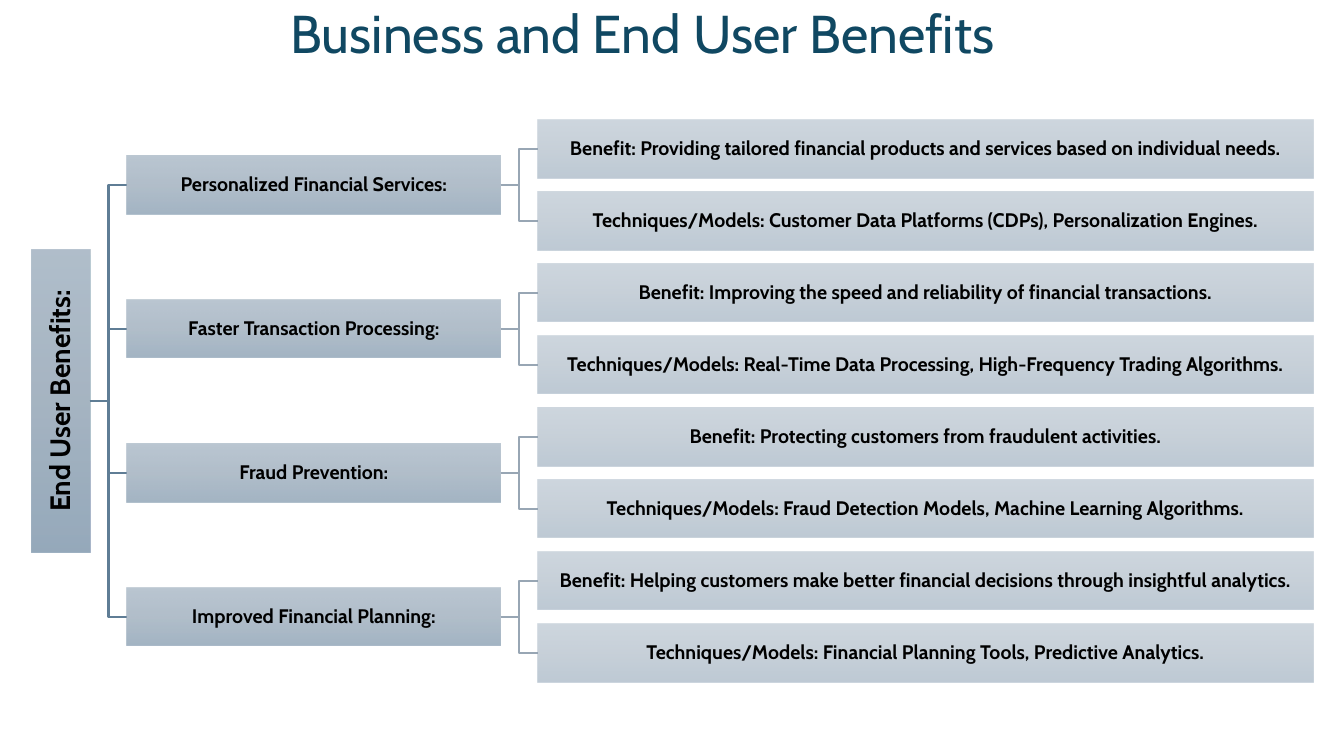
from lxml.etree import SubElement
from pptx import Presentation
from pptx.dml.color import RGBColor
from pptx.enum.shapes import MSO_SHAPE
from pptx.enum.text import MSO_ANCHOR, PP_ALIGN
from pptx.oxml.ns import qn
from pptx.util import Pt

PX = 914400 / 100.8
FONT = "Cabin"
STOPS = ((0, "9EAFBF"), (50, "91A3B4"), (100, "7C95AB"))
BOX_H = 58
GAP = 14
BENEFITS = [
    ("Personalized Financial Services:",
     "Benefit: Providing tailored financial products and services based on individual needs.",
     "Techniques/Models: Customer Data Platforms (CDPs), Personalization Engines."),
    ("Faster Transaction Processing:",
     "Benefit: Improving the speed and reliability of financial transactions.",
     "Techniques/Models: Real-Time Data Processing, High-Frequency Trading Algorithms."),
    ("Fraud Prevention:",
     "Benefit: Protecting customers from fraudulent activities.",
     "Techniques/Models: Fraud Detection Models, Machine Learning Algorithms."),
    ("Improved Financial Planning:",
     "Benefit: Helping customers make better financial decisions through insightful analytics.",
     "Techniques/Models: Financial Planning Tools, Predictive Analytics."),
]


def px(n):
    return round(n * PX)


def color(value):
    return RGBColor.from_string(value)


def write(sp, text, size, ink, bold=False):
    tf = sp.text_frame
    tf.word_wrap = True
    tf.vertical_anchor = MSO_ANCHOR.MIDDLE
    tf.margin_left = tf.margin_right = tf.margin_top = tf.margin_bottom = px(1)
    p = tf.paragraphs[0]
    p.alignment = PP_ALIGN.CENTER
    p.line_spacing = 0.9
    r = p.add_run()
    r.text = text
    r.font.name = FONT
    r.font.size = Pt(size)
    r.font.bold = bold
    r.font.color.rgb = color(ink)


def shade(sp, opacity):
    sp.fill.gradient()
    sp.fill.gradient_angle = 270
    grad = sp.element.spPr.find(qn("a:gradFill"))
    grad.set("rotWithShape", "0")
    stops = grad.find(qn("a:gsLst"))
    for stop in list(stops):
        stops.remove(stop)
    for pos, value in STOPS:
        gs = SubElement(stops, qn("a:gs"), pos=str(pos * 1000))
        clr = SubElement(gs, qn("a:srgbClr"), val=value)
        SubElement(clr, qn("a:alpha"), val=str(opacity * 1000))


def add_node(s, x, cy, w, text, size, opacity, rotation=0):
    sp = s.shapes.add_shape(MSO_SHAPE.RECTANGLE, px(x), px(cy - BOX_H / 2), px(w), px(BOX_H))
    sp.shadow.inherit = False
    sp.line.fill.background()
    sp.rotation = rotation
    shade(sp, opacity)
    write(sp, text, size, "000000", True)


def add_elbow(s, x1, y1, x2, y2, ink):
    mid = (x1 + x2) / 2
    path = s.shapes.build_freeform(px(x1), px(y1))
    path.add_line_segments([(px(mid), px(y1)), (px(mid), px(y2)), (px(x2), px(y2))], close=False)
    sp = path.convert_to_shape()
    sp.shadow.inherit = False
    sp.fill.background()
    sp.line.color.rgb = color(ink)
    sp.line.width = Pt(1.5)


def add_title(s, x, y, w, h):
    tb = s.shapes.add_textbox(px(x), px(y), px(w), px(h))
    write(tb, "Business and End User Benefits", 38, "104862")


def add_tree(s, x, y, w):
    pitch = BOX_H + GAP
    root_len, branch_w, link = 303, 374, 37
    branch_x = x + BOX_H + link
    leaf_x = branch_x + branch_w + link
    leaf_w = x + w - leaf_x
    root_cy = y + (2 * len(BENEFITS) * pitch - GAP) / 2
    root_x = x + (BOX_H - root_len) / 2
    add_node(s, root_x, root_cy, root_len, "End User Benefits:", 20, 80, 270)
    for i, (name, *leaves) in enumerate(BENEFITS):
        first_cy = y + BOX_H / 2 + 2 * i * pitch
        cy = first_cy + pitch / 2
        add_elbow(s, x + BOX_H, root_cy, branch_x, cy, "5F7D95")
        add_node(s, branch_x, cy, branch_w, name, 14, 70)
        for j, leaf in enumerate(leaves):
            leaf_cy = first_cy + j * pitch
            add_elbow(s, branch_x + branch_w, cy, leaf_x, leaf_cy, "98A6B4")
            add_node(s, leaf_x, leaf_cy, leaf_w, leaf, 14, 50)


def main():
    prs = Presentation()
    prs.slide_width, prs.slide_height = px(1344), px(756)
    s = prs.slides.add_slide(prs.slide_layouts[6])
    add_title(s, 63, -4, 1159, 81)
    add_tree(s, 32, 120, 1281)
    prs.save("out.pptx")


if __name__ == "__main__":
    main()
